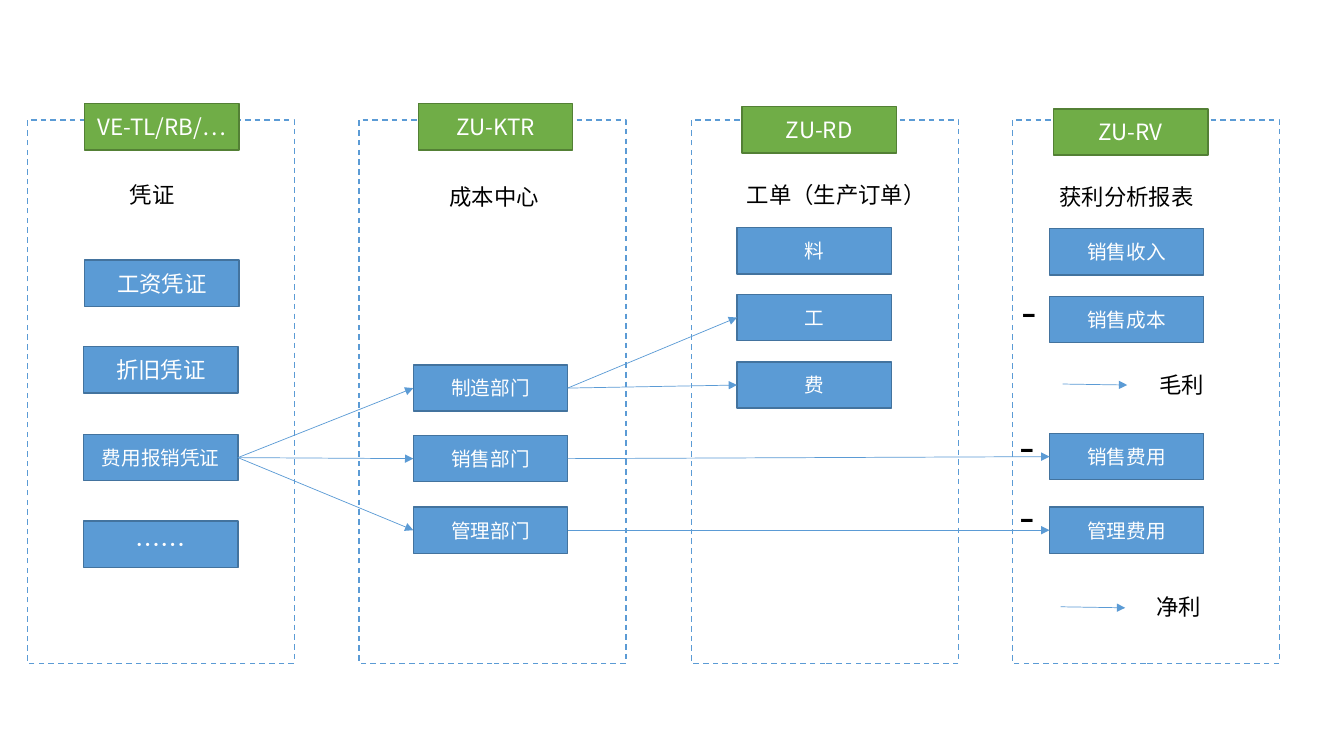
import pptx
import pptx.dml.color
import pptx.enum.dml
import pptx.enum.shapes
import pptx.enum.text
import pptx.oxml.ns
import pptx.util
from lxml import etree

Inches = pptx.util.Inches
RGBColor = pptx.dml.color.RGBColor

FONT = "Noto Sans CJK SC"
WHITE = RGBColor(0xFF, 0xFF, 0xFF)
BLACK = RGBColor(0, 0, 0)
BLUE = RGBColor(0x5B, 0x9B, 0xD5)
DARK_BLUE = RGBColor(0x43, 0x73, 0x9E)
GREEN = RGBColor(0x70, 0xAD, 0x47)
DARK_GREEN = RGBColor(0x53, 0x80, 0x35)

PANEL_TOP, PANEL_WIDTH, PANEL_HEIGHT = 1.19, 2.65, 5.39
BOX_WIDTH, BOX_HEIGHT = 1.53, 0.46
LABEL_HEIGHT, MINUS_HEIGHT = 0.37, 0.64

COLUMNS = [
    {"panel": 0.27, "header": ("VE-TL/RB/…", 0.84, 1.03),
     "caption": ("凭证", 1.19, 1.75, 0.65),
     "boxes": [("工资凭证", 0.84, 2.58, 16), ("折旧凭证", 0.83, 3.44, 16),
               ("费用报销凭证", 0.83, 4.31, 14), ("……", 0.83, 5.17, 18)]},
    {"panel": 3.56, "header": ("ZU-KTR", 4.15, 1.03),
     "caption": ("成本中心", 4.36, 1.77, 1.1),
     "boxes": [("制造部门", 4.1, 3.62, 14), ("销售部门", 4.1, 4.32, 14),
               ("管理部门", 4.1, 5.03, 14)]},
    {"panel": 6.86, "header": ("ZU-RD", 7.36, 1.06),
     "caption": ("工单（生产订单）", 7.31, 1.75, 2),
     "boxes": [("料", 7.31, 2.26, 14), ("工", 7.31, 2.92, 14), ("费", 7.31, 3.59, 14)]},
    {"panel": 10.04, "header": ("ZU-RV", 10.45, 1.08),
     "caption": ("获利分析报表", 10.41, 1.77, 1.55),
     "boxes": [("销售收入", 10.41, 2.27, 14), ("销售成本", 10.41, 2.94, 14),
               ("销售费用", 10.41, 4.3, 14), ("管理费用", 10.41, 5.03, 14)]},
]
FLOWS = [
    ("费用报销凭证", "管理部门"), ("费用报销凭证", "销售部门"), ("费用报销凭证", "制造部门"),
    ("制造部门", "工"), ("制造部门", "费"),
    ("销售部门", "销售费用"), ("管理部门", "管理费用"),
]
RESULTS = [("毛利", 11.4, 3.63, 0.65), ("净利", 11.37, 5.84, 0.65)]
RESULT_ARROWS = [(10.54, 3.81, 11.18, 3.82), (10.52, 6.02, 11.16, 6.03)]
MINUSES = [(10.03, 2.77), (10.01, 4.11), (10.01, 4.8)]

deck = pptx.Presentation()
deck.slide_width, deck.slide_height = Inches(13.33), Inches(7.5)
page = deck.slides.add_slide(deck.slide_layouts[6])


def write(shape, text, size, color):
    span = shape.text_frame.paragraphs[0].add_run()
    span.text = text
    span.font.size = pptx.util.Pt(size)
    span.font.name = FONT
    span.font.color.rgb = color
    east_asian = etree.SubElement(span.font._element, pptx.oxml.ns.qn("a:ea"))
    east_asian.set("typeface", FONT)


def add_rectangle(left, top, width, height, fill, line):
    shape = page.shapes.add_shape(
        pptx.enum.shapes.MSO_SHAPE.RECTANGLE,
        Inches(left), Inches(top), Inches(width), Inches(height))
    shape.shadow.inherit = False
    shape.fill.solid()
    shape.fill.fore_color.rgb = fill
    shape.line.color.rgb = line
    shape.line.width = pptx.util.Pt(1)
    return shape


def add_box(text, left, top, size, fill=BLUE, line=DARK_BLUE):
    box = add_rectangle(left, top, BOX_WIDTH, BOX_HEIGHT, fill, line)
    box.text_frame.vertical_anchor = pptx.enum.text.MSO_ANCHOR.MIDDLE
    box.text_frame.paragraphs[0].alignment = pptx.enum.text.PP_ALIGN.CENTER
    write(box, text, size, WHITE)
    return box


def add_label(text, left, top, width, height=LABEL_HEIGHT, size=16):
    label = page.shapes.add_textbox(
        Inches(left), Inches(top), Inches(width), Inches(height))
    label.text_frame.word_wrap = False
    label.text_frame.auto_size = pptx.enum.text.MSO_AUTO_SIZE.SHAPE_TO_FIT_TEXT
    write(label, text, size, BLACK)


def add_arrow(*ends):
    arrow = page.shapes.add_connector(
        pptx.enum.shapes.MSO_CONNECTOR.STRAIGHT, *[Inches(end) for end in ends])
    arrow.line.color.rgb = BLUE
    arrow.line.width = pptx.util.Pt(0.5)
    head = etree.SubElement(arrow.line._get_or_add_ln(), pptx.oxml.ns.qn("a:tailEnd"))
    head.set("type", "triangle")
    etree.SubElement(arrow._element.spPr, pptx.oxml.ns.qn("a:effectLst"))
    return arrow


boxes = {}
for column in COLUMNS:
    panel = add_rectangle(column["panel"], PANEL_TOP, PANEL_WIDTH, PANEL_HEIGHT, WHITE, BLUE)
    panel.line.dash_style = pptx.enum.dml.MSO_LINE.DASH
    add_box(*column["header"], 16, GREEN, DARK_GREEN)
    add_label(*column["caption"])
    for text, left, top, size in column["boxes"]:
        boxes[text] = add_box(text, left, top, size)

for source, target in FLOWS:
    flow = add_arrow(0, 0, 1, 1)
    flow.begin_connect(boxes[source], 3)
    flow.end_connect(boxes[target], 1)

for ends in RESULT_ARROWS:
    add_arrow(*ends)
for result in RESULTS:
    add_label(*result)
for left, top in MINUSES:
    add_label("-", left, top, 0.43, MINUS_HEIGHT, 32)

deck.save("out.pptx")
